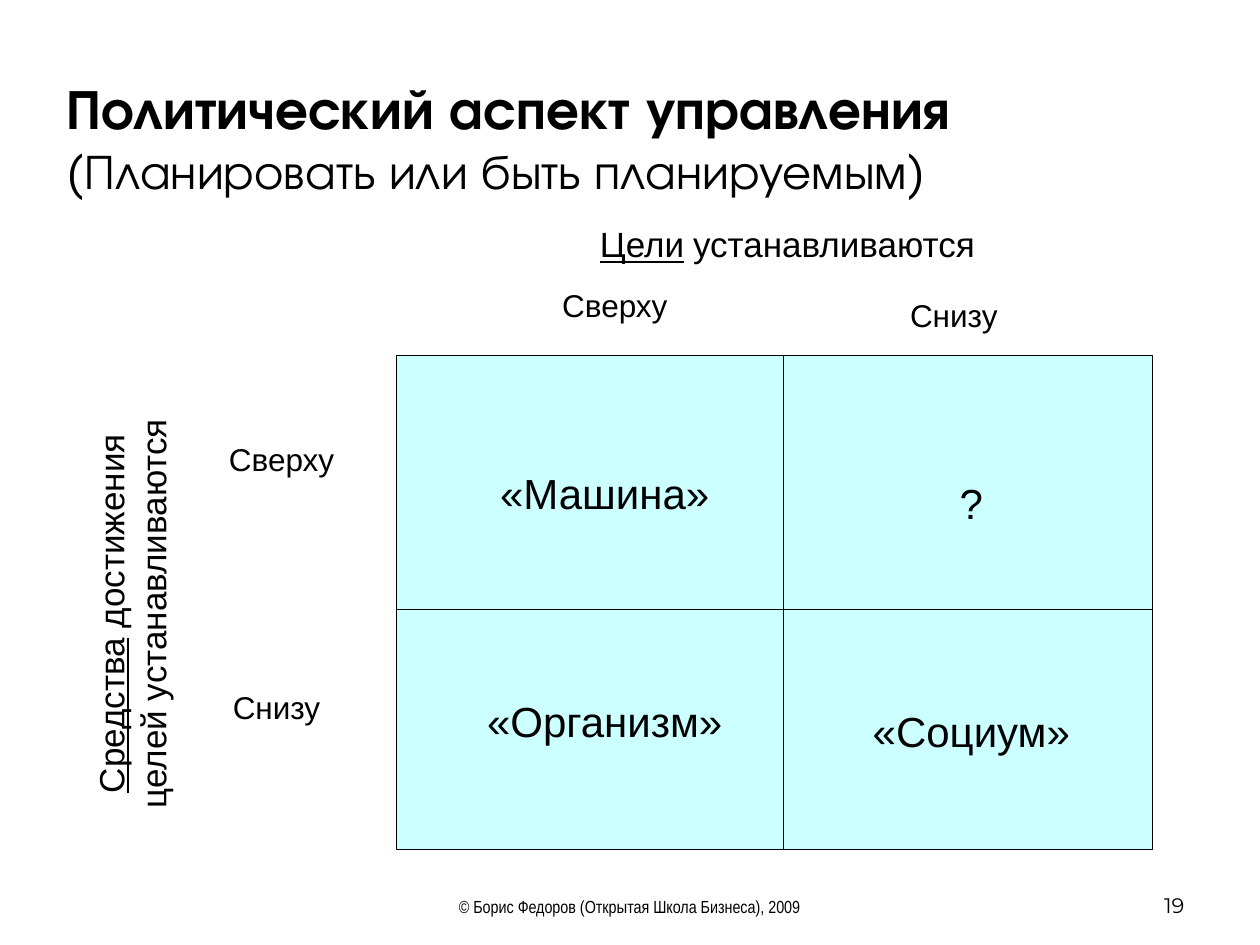
import pptx
import pptx.dml.color
import pptx.enum.shapes
import pptx.enum.text
import pptx.oxml.ns
import pptx.util
from lxml import etree

Inches = pptx.util.Inches
Pt = pptx.util.Pt
Align = pptx.enum.text.PP_ALIGN
Anchor = pptx.enum.text.MSO_ANCHOR

COLORS = {"text": "000000", "line": "000000", "cell": "CCFFFF", "background": "FFFFFF"}
LABEL = {"name": "Arial", "size": Pt(18)}
AXIS = {"name": "Arial", "size": Pt(20)}
CELL = {"name": "Arial", "size": Pt(24)}
UNDERLINED = {"underline": True}


def rgb(key):
    return pptx.dml.color.RGBColor.from_string(COLORS[key])


def add_run(paragraph, text, font_format):
    run = paragraph.add_run()
    run.text = text
    run.font.color.rgb = rgb("text")
    for attribute, value in font_format.items():
        setattr(run.font, attribute, value)


def add_text(slide, box, lines, font_format, align=Align.CENTER, anchor=Anchor.TOP, wrap=True):
    """Add a text box; each line is a list of (text, extra font format) runs."""
    shape = slide.shapes.add_textbox(*map(Inches, box))
    frame = shape.text_frame
    frame.word_wrap = wrap
    frame.vertical_anchor = anchor
    for index, runs in enumerate(lines):
        paragraph = frame.paragraphs[0] if index == 0 else frame.add_paragraph()
        paragraph.alignment = align
        for text, extra in runs:
            add_run(paragraph, text, {**font_format, **extra})
    return shape


def add_title(slide, box):
    title = slide.shapes.title
    title.left, title.top, title.width, title.height = map(Inches, box)
    frame = title.text_frame
    frame.auto_size = pptx.enum.text.MSO_AUTO_SIZE.NONE
    frame.vertical_anchor = Anchor.MIDDLE
    paragraph = frame.paragraphs[0]
    paragraph.alignment = Align.LEFT
    heading = {"name": "TeX Gyre Adventor"}
    add_run(paragraph, "Политический аспект управления", {**heading, "size": Pt(32), "bold": True})
    paragraph.add_line_break()
    add_run(paragraph, "(Планировать или быть планируемым)",
            {**heading, "size": Pt(28), "bold": False})


def add_divider(slide, start, end):
    line = slide.shapes.add_connector(
        pptx.enum.shapes.MSO_CONNECTOR.STRAIGHT, *map(Inches, start + end))
    line.line.color.rgb = rgb("line")
    line.line.width = Pt(0.75)
    etree.SubElement(line._element.spPr, pptx.oxml.ns.qn("a:effectLst"))


def add_matrix(slide, box):
    left, top, width, height = box
    square = slide.shapes.add_shape(
        pptx.enum.shapes.MSO_SHAPE.RECTANGLE, *map(Inches, box))
    square.shadow.inherit = False
    square.fill.solid()
    square.fill.fore_color.rgb = rgb("cell")
    square.line.color.rgb = rgb("line")
    square.line.width = Pt(0.75)

    add_divider(slide, (left + 3.07, top), (left + 3.07, top + height))
    add_divider(slide, (left, top + 2.02), (left + width, top + 2.02))

    rows = [("«Машина»", "?"), ("«Организм»", "«Социум»")]
    for row, names in enumerate(rows):
        for column, name in enumerate(names):
            cell = (left + 0.55 + 2.91 * column,
                    top + 0.84 + 1.81 * row + 0.08 * column, 2.2, 0.5)
            add_text(slide, cell, [[(name, {})]], CELL)


def add_column_labels(slide, box):
    left, top, width, height = box
    add_text(slide, (left, top, width, height),
             [[("Цели", UNDERLINED), (" ", {"size": Pt(18)}), ("устанавливаются", {})]], AXIS)
    add_text(slide, (left - 0.2, top + 0.5, 1.04, 0.4), [[("Сверху", {})]], LABEL, wrap=False)
    add_text(slide, (left + 2.56, top + 0.58, 0.9, 0.4), [[("Снизу", {})]], LABEL, wrap=False)


def add_row_labels(slide, box):
    """Place the rotated axis title in the box, with the row names to its right."""
    left, top, width, height = box
    unrotated = (left + (width - height) / 2, top + (height - width) / 2, height, width)
    axis = add_text(slide, unrotated,
                    [[("Средства", UNDERLINED), (" достижения", {})],
                     [("целей устанавливаются", {})]], AXIS)
    axis.rotation = 270
    add_text(slide, (left + 0.75, top + 0.3, 1.65, 0.4), [[("Сверху", {})]], LABEL)
    add_text(slide, (left + 0.75, top + 2.27, 1.57, 0.4), [[("Снизу", {})]], LABEL)


def add_footer(slide, box):
    left, top, width, height = box
    add_text(slide, (left, top + 0.15, 4.09, height - 0.15),
             [[("© Борис Федоров (Открытая Школа Бизнеса), 2009", {})]],
             {"name": "Arial Narrow", "size": Pt(10)}, anchor=Anchor.BOTTOM)
    add_text(slide, (left + width - 2.33, top, 2.33, height), [[("19", {})]],
             {"name": "Montserrat", "size": Pt(12)}, Align.RIGHT, Anchor.BOTTOM)


def main():
    presentation = pptx.Presentation()
    presentation.slide_width = Inches(10)
    presentation.slide_height = Inches(7.5)
    slide = presentation.slides.add_slide(presentation.slide_layouts[5])
    slide.background.fill.solid()
    slide.background.fill.fore_color.rgb = rgb("background")

    add_title(slide, (0.43, 0.54, 8.99, 1.09))
    add_matrix(slide, (3.15, 2.82, 6, 3.92))
    add_column_labels(slide, (4.56, 1.72, 3.38, 0.44))
    add_row_labels(slide, (0.66, 3.14, 0.77, 3.46))
    add_footer(slide, (2.95, 6.83, 6.55, 0.5))
    presentation.save("out.pptx")


if __name__ == "__main__":
    main()
